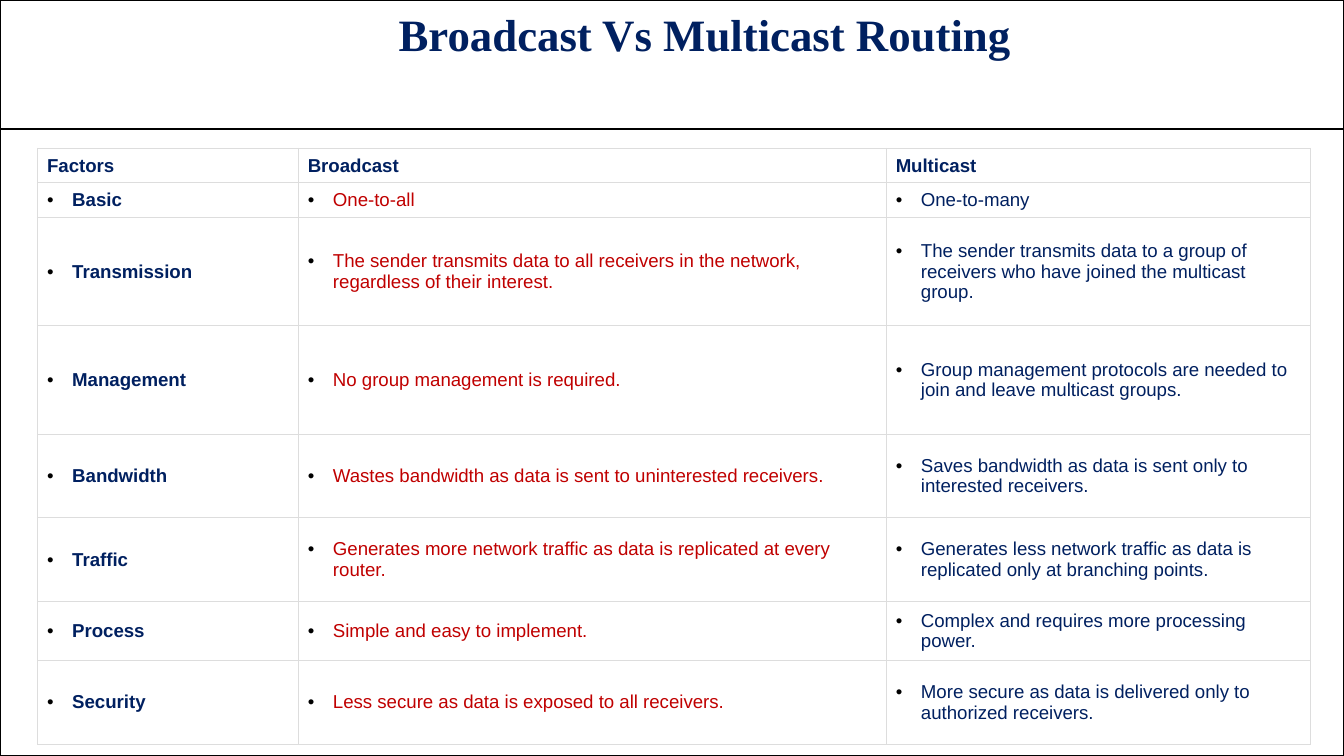
from dataclasses import dataclass

from lxml.etree import SubElement
from pptx import Presentation
from pptx.dml.color import RGBColor as Color
from pptx.enum.shapes import MSO_CONNECTOR as Connector, MSO_SHAPE as Shape
from pptx.enum.text import MSO_ANCHOR as Anchor, PP_ALIGN as Align
from pptx.oxml.ns import qn
from pptx.util import Pt


@dataclass(frozen=True)
class Theme:
    navy: str = "002060"
    red: str = "C00000"
    black: str = "000000"
    white: str = "FFFFFF"
    border: str = "DDDDDD"
    title_font: str = "Times New Roman"
    body_font: str = "Arial"
    title_size: float = 24
    body_size: float = 10
    frame_width: float = 1
    border_width: float = 0.6


def add_solid(parent, color):
    SubElement(SubElement(parent, qn("a:solidFill")), qn("a:srgbClr"), val=color)


def write_text(frame, text, *, font, size, color, bold=False,
               align=Align.LEFT, bullet_color=None, indent=13.5):
    para = frame.paragraphs[0]
    para.alignment = align
    if bullet_color:
        properties = para._p.get_or_add_pPr()
        properties.set("marL", str(Pt(indent)))
        properties.set("indent", str(-Pt(indent)))
        SubElement(SubElement(properties, qn("a:buClr")), qn("a:srgbClr"), val=bullet_color)
        SubElement(properties, qn("a:buFont"), typeface="Arial")
        SubElement(properties, qn("a:buChar"), char="•")
    span = para.add_run()
    span.text = text
    span.font.name = font
    span.font.size = Pt(size)
    span.font.bold = bold
    span.font.color.rgb = Color.from_string(color)


class PageBuilder:
    def __init__(self, page, theme):
        self.page = page
        self.theme = theme

    def style_line(self, line):
        line.color.rgb = Color.from_string(self.theme.black)
        line.width = Pt(self.theme.frame_width)

    def frame(self, width, height):
        box = self.page.shapes.add_shape(Shape.RECTANGLE, 0, 0, Pt(width), Pt(height))
        box.shadow.inherit = False
        box.fill.background()
        self.style_line(box.line)

    def rule(self, top, width):
        line = self.page.shapes.add_connector(
            Connector.STRAIGHT, 0, Pt(top), Pt(width), Pt(top))
        self.style_line(line.line)
        SubElement(line._element.spPr, qn("a:effectLst"))

    def title(self, text, left, top, width, height, inset_left):
        box = self.page.shapes.add_textbox(Pt(left), Pt(top), Pt(width), Pt(height))
        frame = box.text_frame
        frame.word_wrap = True
        frame.margin_left = Pt(inset_left)
        write_text(frame, text, font=self.theme.title_font, size=self.theme.title_size,
                   color=self.theme.navy, bold=True, align=Align.CENTER)

    def style_cell(self, cell):
        cell.vertical_anchor = Anchor.MIDDLE
        cell.margin_left = cell.margin_right = Pt(5)
        cell.margin_top = cell.margin_bottom = Pt(2.3)
        properties = cell._tc.get_or_add_tcPr()
        for side in ("L", "R", "T", "B"):
            edge = SubElement(properties, qn(f"a:ln{side}"),
                              w=str(Pt(self.theme.border_width)))
            add_solid(edge, self.theme.border)
        cell.fill.solid()
        cell.fill.fore_color.rgb = Color.from_string(self.theme.white)

    def table(self, rows, left, top, widths, heights):
        theme = self.theme
        table = self.page.shapes.add_table(
            len(rows), len(widths), Pt(left), Pt(top),
            Pt(sum(widths)), Pt(sum(heights))).table
        table.first_row = table.horz_banding = False
        for column, width in zip(table.columns, widths):
            column.width = Pt(width)
        for row, height in zip(table.rows, heights):
            row.height = Pt(height)
        for row_index, texts in enumerate(rows):
            for column_index, text in enumerate(texts):
                header = row_index == 0
                cell = table.cell(row_index, column_index)
                self.style_cell(cell)
                write_text(
                    cell.text_frame, text, font=theme.body_font, size=theme.body_size,
                    color=theme.red if column_index == 1 and not header else theme.navy,
                    bold=header or column_index == 0,
                    bullet_color=None if header else theme.black)


COMPARISON = [
    ("Factors", "Broadcast", "Multicast"),
    ("Basic", "One-to-all", "One-to-many"),
    ("Transmission",
     "The sender transmits data to all receivers in the network, regardless of their interest.",
     "The sender transmits data to a group of receivers who have joined the multicast group."),
    ("Management",
     "No group management is required.",
     "Group management protocols are needed to join and leave multicast groups."),
    ("Bandwidth",
     "Wastes bandwidth as data is sent to uninterested receivers.",
     "Saves bandwidth as data is sent only to interested receivers."),
    ("Traffic",
     "Generates more network traffic as data is replicated at every router.",
     "Generates less network traffic as data is replicated only at branching points."),
    ("Process",
     "Simple and easy to implement.",
     "Complex and requires more processing power."),
    ("Security",
     "Less secure as data is exposed to all receivers.",
     "More secure as data is delivered only to authorized receivers."),
]


def main():
    width, height = 720, 405
    deck = Presentation()
    deck.slide_width, deck.slide_height = Pt(width), Pt(height)
    builder = PageBuilder(deck.slides.add_slide(deck.slide_layouts[6]), Theme())
    builder.frame(width, height)
    builder.rule(69, width)
    builder.title("Broadcast Vs Multicast Routing", 120, 0, 438, 36, inset_left=84)
    builder.table(COMPARISON, 20.2, 79.5, widths=(139.7, 315, 227.2),
                  heights=(18.4, 18.6, 58.1, 58.1, 44.8, 44.8, 31.7, 44.8))
    deck.save("out.pptx")


if __name__ == "__main__":
    main()
